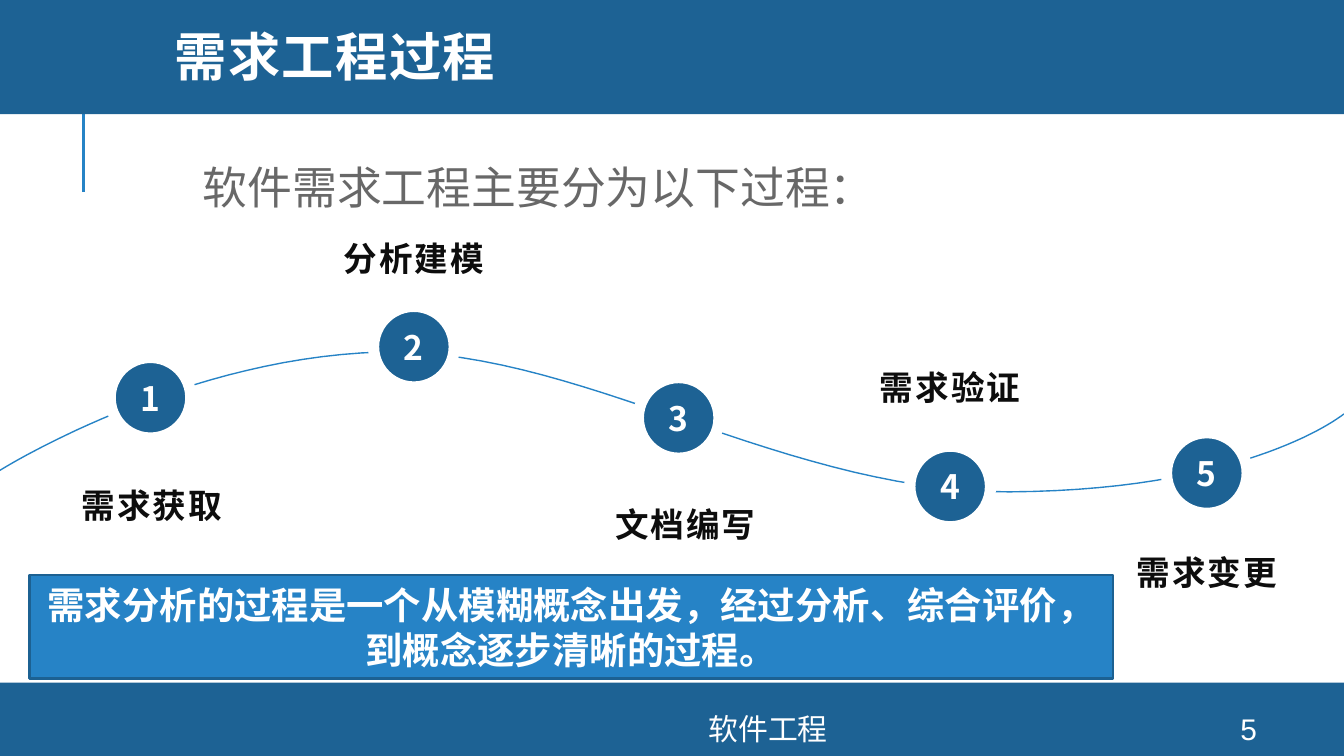
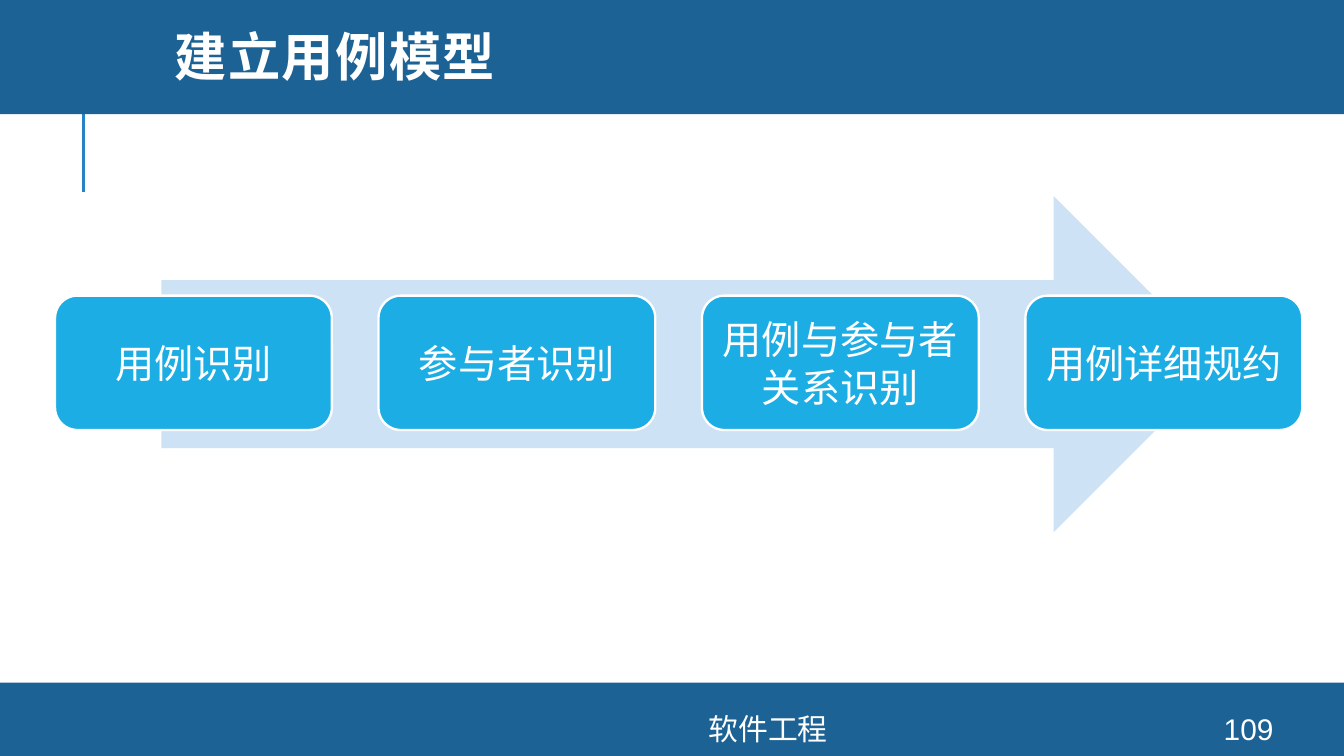
"""Build two software engineering slides: the requirements process and use case modelling."""
from dataclasses import dataclass

from lxml import etree
from pptx import Presentation
from pptx.dml.color import RGBColor
from pptx.enum import lang, shapes, text
from pptx.oxml import ns
from pptx.util import Inches, Pt

WHITE = RGBColor(0xFF, 0xFF, 0xFF)
NAVY = RGBColor(0x1D, 0x62, 0x94)
BLUE = RGBColor(0x26, 0x83, 0xC6)
EDGE = RGBColor(0x1C, 0x61, 0x92)
SKY = RGBColor(0x1C, 0xAD, 0xE4)
PALE = RGBColor(0xCD, 0xE3, 0xF5)
GREY = RGBColor(0x68, 0x68, 0x68)
INK = RGBColor(0x0D, 0x0D, 0x0D)
LEFT, CENTER = text.PP_ALIGN.LEFT, text.PP_ALIGN.CENTER
TOP, MIDDLE, BOTTOM = text.MSO_ANCHOR.TOP, text.MSO_ANCHOR.MIDDLE, text.MSO_ANCHOR.BOTTOM
PRESET = shapes.MSO_SHAPE


@dataclass(frozen=True)
class Box:
    """Place and size in inches."""
    left: float
    top: float
    width: float
    height: float

    def emu(self) -> tuple:
        """Return the four lengths for python-pptx."""
        return tuple(Inches(v) for v in (self.left, self.top, self.width, self.height))


@dataclass(frozen=True)
class Style:
    """Look of a piece of text."""
    size: float
    color: RGBColor = WHITE
    bold: bool = False
    font: str = "Arial"
    align: text.PP_ALIGN = CENTER
    anchor: text.MSO_ANCHOR = MIDDLE
    leading: float = 1.0
    tracking: float = 0.0


@dataclass(frozen=True)
class Step:
    """A numbered stop on the process curve with its label."""
    name: str
    left: float
    top: float
    label_left: float
    label_top: float
    anchor: text.MSO_ANCHOR = TOP


FOOTER = Style(16)
STEPS = (
    Step("需求获取", 0.82, 2.66, 0.43, 3.41),
    Step("分析建模", 2.78, 2.28, 2.38, 1.57, BOTTOM),
    Step("文档编写", 4.75, 2.81, 4.4, 3.55),
    Step("需求验证", 6.77, 3.32, 6.37, 2.53, BOTTOM),
    Step("需求变更", 8.68, 3.22, 8.28, 3.91),
)
CURVE = (
    ((10, 3.08), (10, 3.08), (9.31, 3.65), (7.51, 3.66)),
    ((7.51, 3.66), (5.81, 3.66), (4.33, 2.59), (2.84, 2.62)),
    ((2.84, 2.62), (1.34, 2.66), (0, 3.5), (0, 3.5)),
)
ACTIVITIES = ("用例识别", "参与者识别", "用例与参与者关系识别", "用例详细规约")


def write(shape, words: str, style: Style, inset: float | None = None) -> None:
    """Put one styled paragraph into a shape."""
    frame = shape.text_frame
    frame.text = words
    frame.word_wrap = True
    frame.auto_size = text.MSO_AUTO_SIZE.NONE
    frame.vertical_anchor = style.anchor
    if inset is not None:
        frame.margin_left = frame.margin_right = Inches(inset)
    paragraph = frame.paragraphs[0]
    paragraph.alignment = style.align
    paragraph.line_spacing = style.leading
    for run in paragraph.runs:
        run.font.size = Pt(style.size)
        run.font.bold = style.bold
        run.font.color.rgb = style.color
        run.font.name = style.font
        run.font.language_id = lang.MSO_LANGUAGE_ID.SIMPLIFIED_CHINESE
        properties = run._r.get_or_add_rPr()
        etree.SubElement(properties, ns.qn("a:ea"), typeface=style.font)
        if style.tracking:
            properties.set("spc", str(round(style.tracking * 100)))


def add_text(slide, words: str, box: Box, style: Style) -> None:
    """Add a text box."""
    write(slide.shapes.add_textbox(*box.emu()), words, style)


def add_block(slide, kind, box: Box, fill: RGBColor, line: RGBColor | None = None, weight: float = 0):
    """Add a flat preset shape."""
    block = slide.shapes.add_shape(kind, *box.emu())
    block.shadow.inherit = False
    block.fill.solid()
    block.fill.fore_color.rgb = fill
    if line is None:
        block.line.fill.background()
    else:
        block.line.color.rgb = line
        block.line.width = Pt(weight)
    return block


def furnish_layout(layout, slide) -> None:
    """Move the bands and the accent line onto the layout."""
    accent = slide.shapes.add_connector(
        shapes.MSO_CONNECTOR.STRAIGHT, Inches(0.62), Inches(1.43), Inches(0.62), Inches(0.68))
    accent.line.color.rgb = BLUE
    accent.line.width = Pt(1.5)
    etree.SubElement(accent._element.spPr, ns.qn("a:effectLst"))
    foot_band = add_block(slide, PRESET.RECTANGLE, Box(0, 5.08, 10, 0.55), NAVY)
    title_band = add_block(slide, PRESET.RECTANGLE, Box(0, -0.03, 10, 0.88), NAVY)
    for position, part in enumerate((accent, foot_band, title_band), start=2):
        layout.shapes.element.insert(position, part.element)


def add_page(deck, layout, heading: str, number: int, font: str = "Arial"):
    """Add a slide with its heading and footer."""
    slide = deck.slides.add_slide(layout)
    title = slide.shapes.title
    title.left, title.top, title.width, title.height = Box(1.2, 0, 8.49, 0.91).emu()
    write(title, heading, Style(28, bold=True, font=font, align=LEFT, leading=0.8, tracking=0.8))
    add_text(slide, "软件工程", Box(2.61, 5.31, 6.21, 0.23), FOOTER)
    add_text(slide, str(number), Box(8.89, 5.31, 0.8, 0.23), FOOTER)
    return slide


def curve_points(pieces: int = 30) -> list:
    """Sample the cubic segments of the process curve."""
    points = [CURVE[0][0]]
    for segment in CURVE:
        for i in range(1, pieces + 1):
            t = i / pieces
            weights = ((1 - t) ** 3, 3 * t * (1 - t) ** 2, 3 * t * t * (1 - t), t ** 3)
            points.append(tuple(sum(w * p[axis] for w, p in zip(weights, segment)) for axis in (0, 1)))
    return [(Inches(x), Inches(y)) for x, y in points]


def fill_process(slide) -> None:
    """Draw the five steps along the curve and the summary."""
    add_text(slide, "软件需求工程主要分为以下过程：", Box(1.41, 1.06, 6.36, 0.58),
             Style(24, GREY, align=LEFT, anchor=TOP, leading=1.2))
    start, *rest = curve_points()
    outline = slide.shapes.build_freeform(*start)
    outline.add_line_segments(rest, close=False)
    curve = outline.convert_to_shape()
    curve.shadow.inherit = False
    curve.fill.background()
    curve.line.color.rgb = BLUE
    curve.line.width = Pt(0.75)
    for number, step in enumerate(STEPS, start=1):
        stop = add_block(slide, PRESET.OVAL, Box(step.left, step.top, 0.6, 0.6), NAVY, WHITE, 6)
        write(stop, str(number), Style(18, bold=True, font="Noto Sans CJK SC"))
        add_text(slide, step.name, Box(step.label_left, step.label_top, 1.4, 0.55),
                 Style(18, INK, True, anchor=step.anchor, leading=1.5, tracking=1.1))
    summary = add_block(slide, PRESET.RECTANGLE, Box(0.22, 4.28, 8.06, 0.77), BLUE, EDGE, 1.25)
    write(summary, "需求分析的过程是一个从模糊概念出发，经过分析、综合评价，到概念逐步清晰的过程。",
          Style(20, bold=True))


def fill_use_cases(slide) -> None:
    """Draw the modelling activities over a wide arrow."""
    add_block(slide, PRESET.RIGHT_ARROW, Box(1.2, 1.46, 7.89, 2.5), PALE)
    first, last, width = 0.41, 7.63, 2.06
    pitch = (last - first) / (len(ACTIVITIES) - 1)
    for i, activity in enumerate(ACTIVITIES):
        card = add_block(slide, PRESET.ROUNDED_RECTANGLE, Box(first + i * pitch, 2.2, width, 1),
                         SKY, WHITE, 1.25)
        write(card, activity, Style(21), inset=0.04)


def main() -> None:
    """Build and save the deck."""
    deck = Presentation()
    deck.slide_width = Inches(10)
    deck.slide_height = deck.slide_width * 9 // 16
    layout = deck.slide_layouts[5]
    process = add_page(deck, layout, "需求工程过程", 5)
    furnish_layout(layout, process)
    fill_process(process)
    fill_use_cases(add_page(deck, layout, "建立用例模型", 109, "Montserrat"))
    deck.save("out.pptx")


if __name__ == "__main__":
    main()
